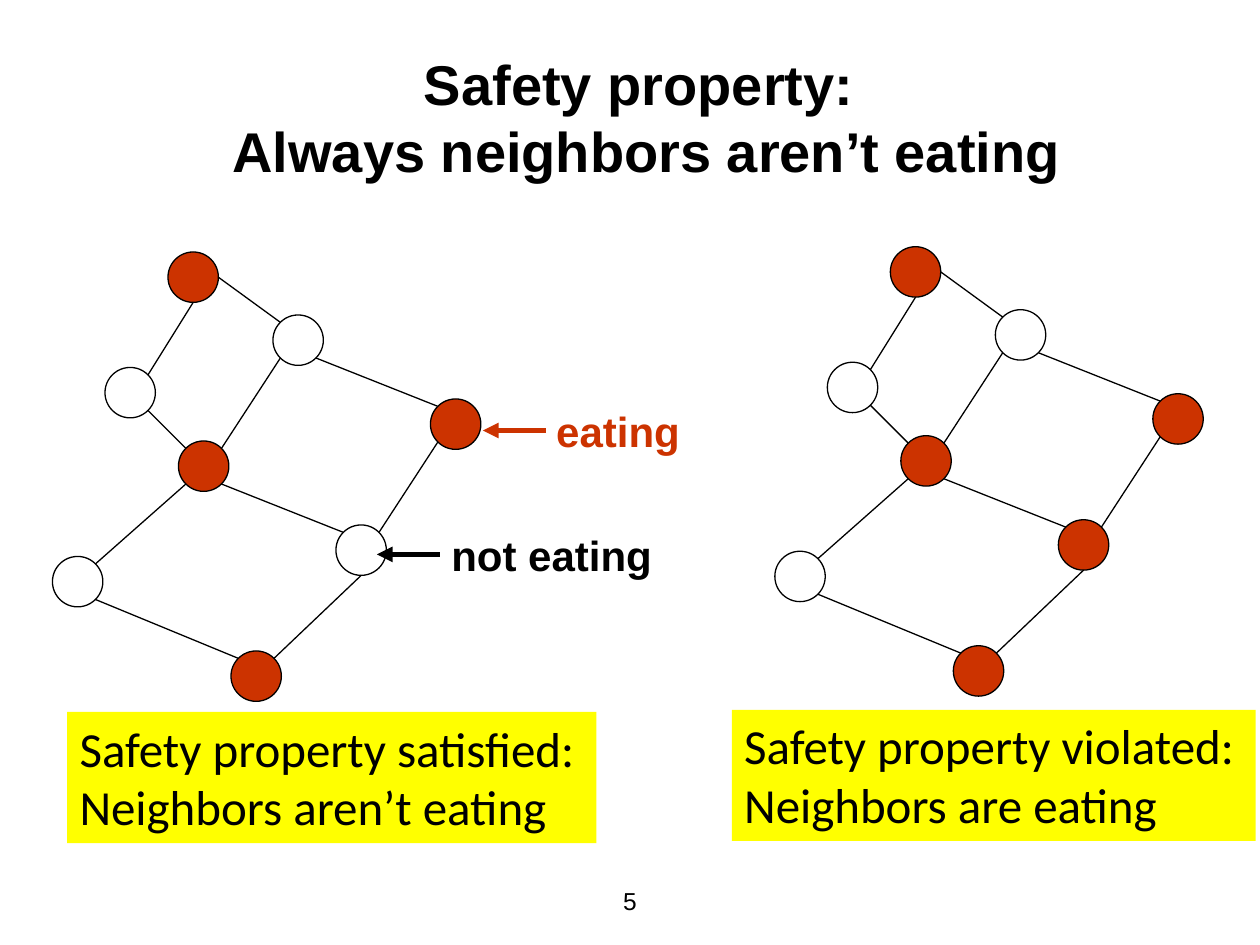
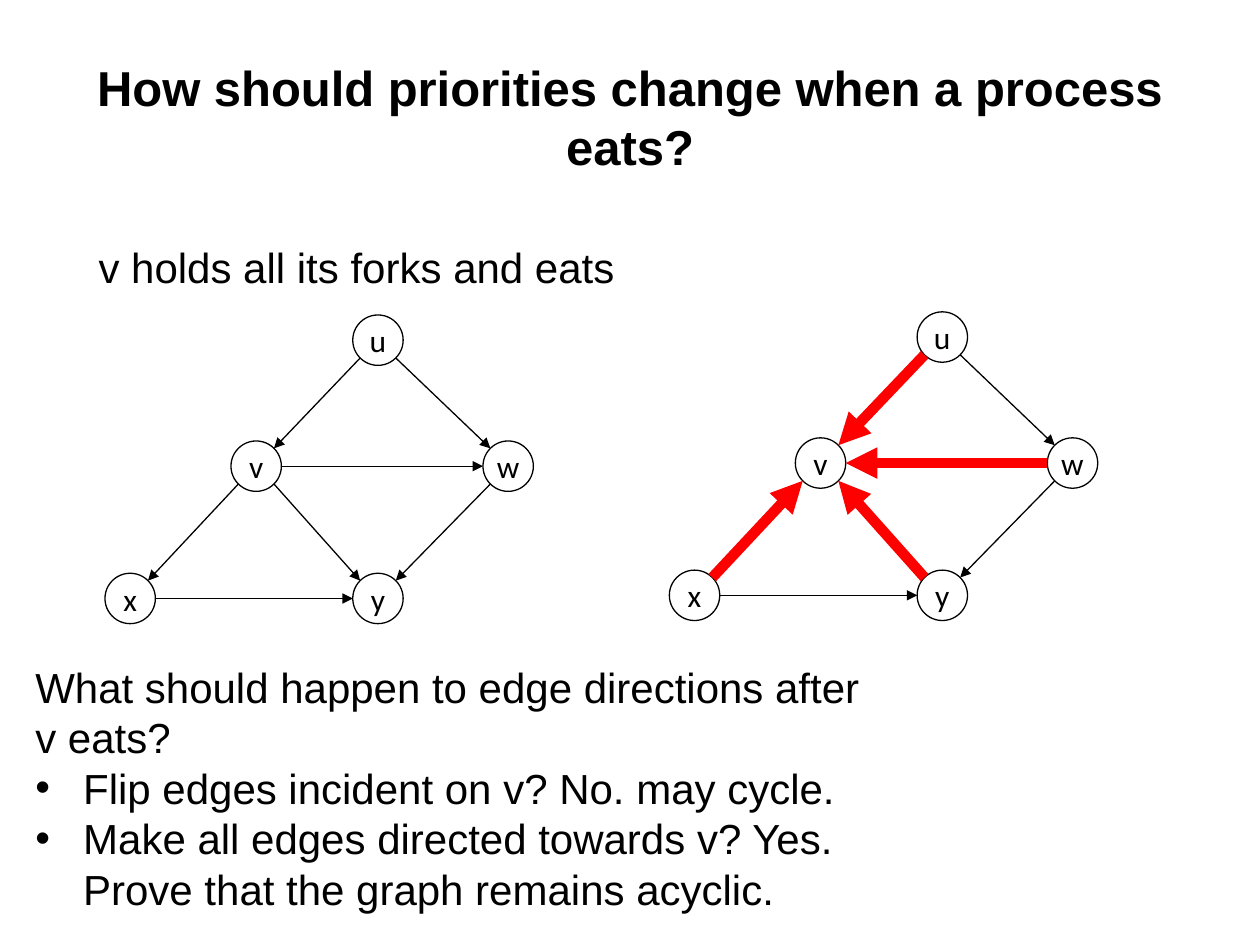
from math import sqrt

from lxml.etree import SubElement
from pptx import Presentation
from pptx.dml.color import RGBColor
from pptx.enum.shapes import MSO_CONNECTOR, MSO_SHAPE
from pptx.enum.text import MSO_ANCHOR, MSO_AUTO_SIZE, PP_ALIGN
from pptx.oxml.ns import qn
from pptx.util import Inches, Pt

BLACK = RGBColor(0x00, 0x00, 0x00)
RUST = RGBColor(0xCC, 0x33, 0x00)
RED = RGBColor(0xFF, 0x00, 0x00)
YELLOW = RGBColor(0xFF, 0xFF, 0x00)

UNIT = Inches(1) / 12
NODE = 4.8
THIN, MEDIUM, THICK = 0.75, 3, 6
TITLE_LEFT, TITLE_TOP, TITLE_HEIGHT = 6, 3.6, 15

DIAGONAL = 1 / sqrt(2)
SITES = {
    "N": (0, -1), "S": (0, 1), "E": (1, 0), "W": (-1, 0),
    "NE": (DIAGONAL, -DIAGONAL), "NW": (-DIAGONAL, -DIAGONAL),
    "SE": (DIAGONAL, DIAGONAL), "SW": (-DIAGONAL, DIAGONAL),
}

TABLE_NODES = {
    "a": (16, 24), "b": (26, 30), "c": (10, 35), "d": (41, 38),
    "e": (17, 42), "f": (32, 50), "g": (5, 53), "h": (22, 62),
}
TABLE_EDGES = [
    ("a", "S", "c", "NE"), ("c", "SE", "e", "NW"), ("e", "SW", "g", "NE"),
    ("g", "SE", "h", "NW"), ("h", "NE", "f", "S"), ("f", "NW", "e", "SE"),
    ("e", "NE", "b", "SW"), ("b", "NW", "a", "E"), ("f", "NE", "d", "SW"),
    ("d", "NW", "b", "SE"),
]
PRIORITY_NODES = {
    "u": (33.6, 30), "v": (22, 42), "w": (46, 42),
    "y": (33.6, 54.6), "x": (10, 54.6),
}
PRIORITY_EDGES = [
    ("u", "SW", "v", "NE"), ("u", "SE", "w", "NW"), ("v", "E", "w", "W"),
    ("v", "SW", "x", "NE"), ("x", "E", "y", "W"), ("v", "SE", "y", "NW"),
    ("w", "SW", "y", "NE"),
]


def grid(*cells):
    return [round(c * UNIT) for c in cells]


def set_values(obj, values):
    for name, value in values.items():
        setattr(obj, name, value)


def place(sp, *box):
    set_values(sp, dict(zip(("left", "top", "width", "height"), grid(*box))))


def write(tf, lines, size, color=BLACK, font="Arial", bold=False, align=PP_ALIGN.LEFT):
    for i, line in enumerate(lines):
        p = tf.paragraphs[0] if i == 0 else tf.add_paragraph()
        p.text = line
        set_values(p, {"alignment": align, "space_before": Pt(0)})
        for r in p.runs:
            set_values(r.font, {"size": Pt(size), "name": font, "bold": bold})
            r.font.color.rgb = color


def add_title(slide, text, size, width):
    sp = slide.shapes.title
    place(sp, TITLE_LEFT, TITLE_TOP, width, TITLE_HEIGHT)
    set_values(sp.text_frame, {"auto_size": MSO_AUTO_SIZE.NONE,
                               "vertical_anchor": MSO_ANCHOR.MIDDLE})
    write(sp.text_frame, [text], size, bold=True, align=PP_ALIGN.CENTER)


def add_label(slide, lines, box, size, fill=None, anchor=MSO_ANCHOR.TOP, **style):
    sp = slide.shapes.add_textbox(*grid(*box))
    set_values(sp.text_frame, {"word_wrap": False, "vertical_anchor": anchor})
    if fill is not None:
        sp.fill.solid()
        sp.fill.fore_color.rgb = fill
    write(sp.text_frame, lines, size, **style)


def add_node(slide, x, y, label="", fill=None):
    sp = slide.shapes.add_shape(MSO_SHAPE.OVAL, *grid(x, y, NODE, NODE))
    sp.shadow.inherit = False
    if fill is None:
        sp.fill.background()
    else:
        sp.fill.solid()
        sp.fill.fore_color.rgb = fill
    sp.line.color.rgb = BLACK
    sp.line.width = Pt(THIN)
    if label:
        set_values(sp.text_frame, {"word_wrap": False,
                                   "vertical_anchor": MSO_ANCHOR.MIDDLE})
        write(sp.text_frame, [label], 18, font="Calibri", align=PP_ALIGN.CENTER)


def add_line(slide, start, end, color=BLACK, width=THIN, arrow=False):
    cx = slide.shapes.add_connector(MSO_CONNECTOR.STRAIGHT, *grid(*start, *end))
    cx.line.color.rgb = color
    cx.line.width = Pt(width)
    if arrow:
        SubElement(cx.line._get_or_add_ln(), qn("a:tailEnd"), type="triangle")
    SubElement(cx._element.spPr, qn("a:effectLst"))


def shifted(nodes, dx, dy):
    return {name: (x + dx, y + dy) for name, (x, y) in nodes.items()}


def site(nodes, name, side):
    return tuple(c + NODE / 2 * (1 + s) for c, s in zip(nodes[name], SITES[side]))


def add_table_graph(slide, nodes, eating):
    for name, (x, y) in nodes.items():
        add_node(slide, x, y, fill=RUST if name in eating else None)
    for a, a_side, b, b_side in TABLE_EDGES:
        add_line(slide, site(nodes, a, a_side), site(nodes, b, b_side))


def add_priority_graph(slide, nodes, target=None):
    for name, (x, y) in nodes.items():
        add_node(slide, x, y, label=name)
    for a, a_side, b, b_side in PRIORITY_EDGES:
        start, end = site(nodes, a, a_side), site(nodes, b, b_side)
        if a == target:
            start, end = end, start
        color, width = (RED, THICK) if target in (a, b) else (BLACK, THIN)
        add_line(slide, start, end, color, width, arrow=True)


def add_bullet(p):
    pPr = p._p.get_or_add_pPr()
    pPr.set("marL", str(Inches(0.38)))
    pPr.set("indent", str(-Inches(0.38)))
    SubElement(pPr, qn("a:buFont"), typeface="Arial")
    SubElement(pPr, qn("a:buChar"), char="•")


def add_question(slide, question, answers):
    sp = slide.placeholders[1]
    place(sp, 2.16, 62.4, 83.5, 25.4)
    set_values(sp.text_frame, {"auto_size": MSO_AUTO_SIZE.NONE, "word_wrap": True,
                               "vertical_anchor": MSO_ANCHOR.TOP})
    write(sp.text_frame, [question] + answers, 24)
    first, *rest = sp.text_frame.paragraphs
    pPr = first._p.get_or_add_pPr()
    pPr.set("marL", "0")
    pPr.set("indent", "0")
    SubElement(pPr, qn("a:buNone"))
    for p in rest:
        add_bullet(p)


def build_safety(prs):
    slide = prs.slides.add_slide(prs.slide_layouts[5])
    add_title(slide, "Safety property: \vAlways neighbors aren’t eating", 32, 111.2)
    add_table_graph(slide, TABLE_NODES, "adeh")
    add_table_graph(slide, shifted(TABLE_NODES, 68.8, -0.5), "adefh")
    add_label(slide, ["eating"], (51.8, 38, 14.2, 6), 24, color=RUST, bold=True)
    add_line(slide, (52, 41), (46, 41), RUST, MEDIUM, arrow=True)
    add_label(slide, ["not eating"], (41.8, 49.8, 21.7, 6), 24, bold=True)
    add_line(slide, (41.9, 52.8), (35.9, 52.8), BLACK, MEDIUM, arrow=True)
    add_label(slide, ["Safety property satisfied:", "Neighbors aren’t eating"],
              (6.4, 67.8, 50.4, 12.5), 28, fill=YELLOW, font="Calibri")
    add_label(slide, ["Safety property violated:", "Neighbors are eating"],
              (69.7, 67.6, 49.9, 12.5), 28, fill=YELLOW, font="Calibri")
    add_label(slide, ["5"], (41, 83.4, 38, 4.8), 14,
              anchor=MSO_ANCHOR.MIDDLE, align=PP_ALIGN.CENTER)


def build_priorities(prs):
    slide = prs.slides.add_slide(prs.slide_layouts[1])
    add_title(slide, "How should priorities change when a process eats?", 28, 108)
    add_label(slide, ["v holds all its forks and eats"], (8.2, 22.4, 52.2, 6), 24)
    add_priority_graph(slide, PRIORITY_NODES)
    add_priority_graph(slide, shifted(PRIORITY_NODES, 53.75, -0.3), target="v")
    add_question(slide, "What should happen to edge directions after v eats?", [
        "Flip edges incident on v? No. may cycle.",
        "Make all edges directed towards v? Yes. Prove that the graph remains acyclic.",
    ])


def main():
    prs = Presentation()
    set_values(prs, {"slide_width": Inches(10), "slide_height": Inches(7.5)})
    build_safety(prs)
    build_priorities(prs)
    prs.save("out.pptx")


main()
